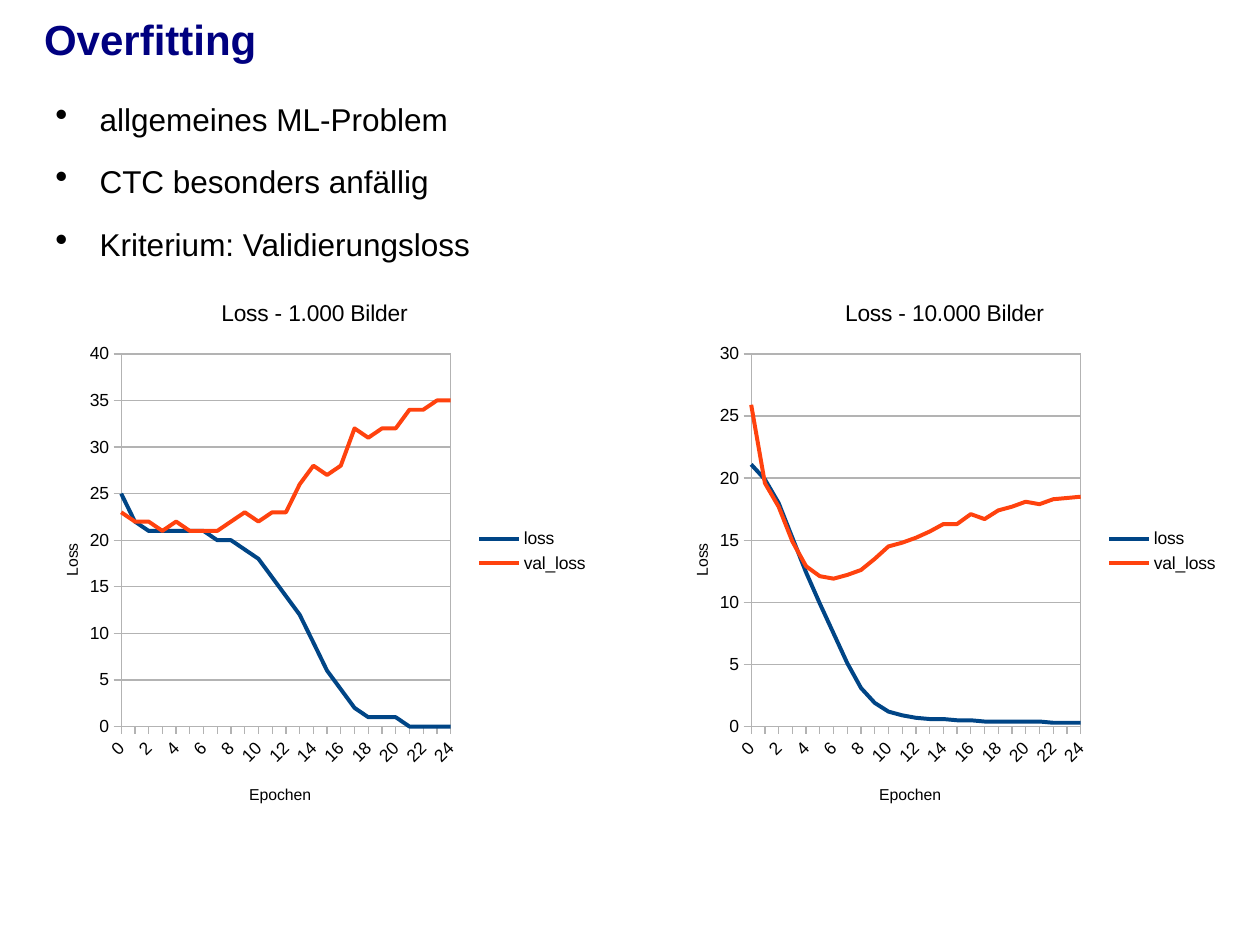
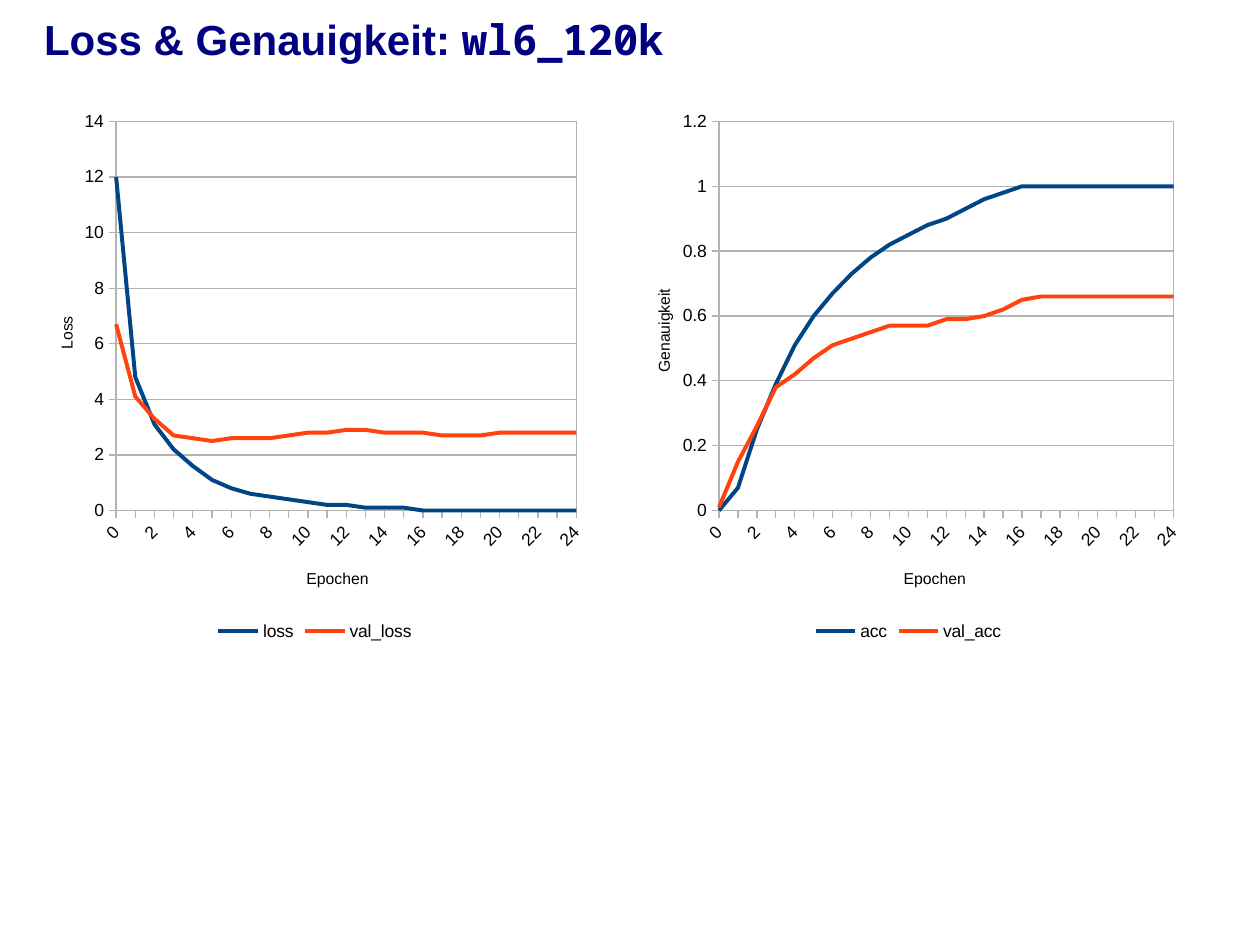
from dataclasses import dataclass

from lxml.etree import SubElement
from pptx import Presentation
from pptx.chart.data import CategoryChartData
from pptx.dml.color import RGBColor
from pptx.enum.chart import XL_CHART_TYPE, XL_LEGEND_POSITION, XL_TICK_MARK
from pptx.enum.text import MSO_ANCHOR, MSO_AUTO_SIZE, PP_ALIGN
from pptx.oxml import parse_xml
from pptx.oxml.ns import nsdecls, qn
from pptx.util import Pt


@dataclass(frozen=True)
class Theme:
    title: RGBColor = RGBColor(0x00, 0x00, 0x80)
    text: RGBColor = RGBColor(0x00, 0x00, 0x00)
    grid: RGBColor = RGBColor(0xB3, 0xB3, 0xB3)
    series: tuple = (RGBColor(0x00, 0x45, 0x86), RGBColor(0xFF, 0x42, 0x0E))
    font: str = "Arial"
    code_font: str = "Noto Sans Mono"
    title_size: int = 24
    body_size: int = 18
    chart_title_size: int = 13
    label_size: int = 10
    axis_title_size: int = 9
    line_width: float = 2.27


THEME = Theme()
EPOCHS = [str(epoch) for epoch in range(25)]
CHART_WIDTH, CHART_HEIGHT = 324.72, 313.2

# Places inside a chart, as fractions of its size: (x, y) or (x, y, width, height)
LEGEND_RIGHT = {
    "position": XL_LEGEND_POSITION.RIGHT,
    "legend": (0.78, 0.45),
    "plot": (0.16, 0.14, 0.58, 0.68),
    "category_title": (0.38, 0.92),
}
LEGEND_BOTTOM = {
    "position": XL_LEGEND_POSITION.BOTTOM,
    "legend": (0.33, 0.95),
    "plot": (0.16, 0.04, 0.81, 0.71),
    "category_title": (0.49, 0.85),
}

SLIDES = [
    {
        "title": [("Overfitting", THEME.font)],
        "bullets": ["allgemeines ML-Problem", "CTC besonders anfällig", "Kriterium: Validierungsloss"],
        "layout": LEGEND_RIGHT,
        "chart_top": 158.4,
        "charts": [
            {
                "left": 17.28, "title": "Loss - 1.000 Bilder",
                "value_title": "Loss", "value_title_at": (0.05, 0.48), "maximum": 40, "step": 5,
                "series": {
                    "loss": [25, 22, 21, 21, 21, 21, 21, 20, 20, 19, 18, 16, 14,
                             12, 9, 6, 4, 2, 1, 1, 1, 0, 0, 0, 0],
                    "val_loss": [23, 22, 22, 21, 22, 21, 21, 21, 22, 23, 22, 23, 23,
                                 26, 28, 27, 28, 32, 31, 32, 32, 34, 34, 35, 35],
                },
            },
            {
                "left": 377.28, "title": "Loss - 10.000 Bilder",
                "value_title": "Loss", "value_title_at": (0.05, 0.48), "maximum": 30, "step": 5,
                "series": {
                    "loss": [21.1, 19.9, 18, 15.2, 12.4, 9.9, 7.5, 5.1, 3.1, 1.9, 1.2, 0.9, 0.7,
                             0.6, 0.6, 0.5, 0.5, 0.4, 0.4, 0.4, 0.4, 0.4, 0.3, 0.3, 0.3],
                    "val_loss": [25.9, 19.6, 17.7, 14.9, 12.9, 12.1, 11.9, 12.2, 12.6, 13.5, 14.5, 14.8, 15.2,
                                 15.7, 16.3, 16.3, 17.1, 16.7, 17.4, 17.7, 18.1, 17.9, 18.3, 18.4, 18.5],
                },
            },
        ],
    },
    {
        "title": [("Loss & Genauigkeit: ", THEME.font), ("wl6_120k", THEME.code_font)],
        "bullets": [],
        "layout": LEGEND_BOTTOM,
        "chart_top": 56.88,
        "charts": [
            {
                "left": 14.4, "title": None,
                "value_title": "Loss", "value_title_at": (0.05, 0.39), "maximum": 14, "step": 2,
                "series": {
                    "loss": [12, 4.8, 3.1, 2.2, 1.6, 1.1, 0.8, 0.6, 0.5, 0.4, 0.3, 0.2, 0.2,
                             0.1, 0.1, 0.1, 0, 0, 0, 0, 0, 0, 0, 0, 0],
                    "val_loss": [6.7, 4.1, 3.3, 2.7, 2.6, 2.5, 2.6, 2.6, 2.6, 2.7, 2.8, 2.8, 2.9,
                                 2.9, 2.8, 2.8, 2.8, 2.7, 2.7, 2.7, 2.8, 2.8, 2.8, 2.8, 2.8],
                },
            },
            {
                "left": 355.68, "title": None, "plot": (0.17, 0.04, 0.8, 0.71),
                "value_title": "Genauigkeit", "value_title_at": (0.05, 0.34), "maximum": 1.2, "step": 0.2,
                "series": {
                    "acc": [0, 0.07, 0.25, 0.39, 0.51, 0.6, 0.67, 0.73, 0.78, 0.82, 0.85, 0.88, 0.9,
                            0.93, 0.96, 0.98, 1, 1, 1, 1, 1, 1, 1, 1, 1],
                    "val_acc": [0.01, 0.15, 0.26, 0.38, 0.42, 0.47, 0.51, 0.53, 0.55, 0.57, 0.57, 0.57, 0.59,
                                0.59, 0.6, 0.62, 0.65, 0.66, 0.66, 0.66, 0.66, 0.66, 0.66, 0.66, 0.66],
                },
            },
        ],
    },
]


def style_font(font, size, color=THEME.text, name=THEME.font, bold=False):
    font.size, font.name, font.bold = Pt(size), name, bold
    font.color.rgb = color


def clear_insets(frame):
    frame.word_wrap = True
    frame.auto_size = MSO_AUTO_SIZE.NONE
    frame.margin_left = frame.margin_top = frame.margin_right = frame.margin_bottom = 0


def add_title(slide, runs):
    title = slide.shapes.title
    title.left, title.top, title.width, title.height = Pt(25.2), Pt(5.76), Pt(671.76), Pt(33.12)
    frame = title.text_frame
    clear_insets(frame)
    frame.vertical_anchor = MSO_ANCHOR.MIDDLE
    paragraph = frame.paragraphs[0]
    paragraph.alignment = PP_ALIGN.LEFT
    for text, font_name in runs:
        run = paragraph.add_run()
        run.text = text
        style_font(run.font, THEME.title_size, THEME.title, font_name, bold=True)


def add_bullets(slide, lines):
    box = slide.shapes.add_textbox(Pt(14.4), Pt(56.88), Pt(CHART_WIDTH), Pt(CHART_HEIGHT))
    frame = box.text_frame
    clear_insets(frame)
    for index, line in enumerate(lines):
        paragraph = frame.add_paragraph() if index else frame.paragraphs[0]
        paragraph.space_after = Pt(14.2)
        run = paragraph.add_run()
        run.text = line
        style_font(run.font, THEME.body_size)
        properties = paragraph._p.get_or_add_pPr()
        properties.set("marL", str(Pt(42.5)))
        properties.set("indent", str(Pt(-25.2)))
        SubElement(properties, qn("a:buSzPct"), val="114000")
        SubElement(properties, qn("a:buChar"), char="•")


def place(element, position, after=None):
    """Fix a chart part at (x, y[, width, height]), given as fractions of the chart."""
    for old in element.findall(qn("c:layout")):
        element.remove(old)
    layout = parse_xml(f"<c:layout {nsdecls('c')}><c:manualLayout/></c:layout>")
    manual = layout[0]
    if len(position) == 4:
        SubElement(manual, qn("c:layoutTarget"), val="inner")
    for name in ("xMode", "yMode"):
        SubElement(manual, qn(f"c:{name}"), val="edge")
    for name, value in zip("xywh", position):
        SubElement(manual, qn(f"c:{name}"), val=str(value))
    if after is None:
        element.insert(0, layout)
    else:
        element.find(qn(after)).addnext(layout)


def write_chart_text(title, text, size):
    run = title.text_frame.paragraphs[0].add_run()
    run.text = text
    style_font(run.font, size)


def style_line(line):
    line.color.rgb = THEME.grid
    line.width = Pt(0)


def style_axis(axis, title, position):
    axis.major_tick_mark = XL_TICK_MARK.OUTSIDE
    axis.minor_tick_mark = XL_TICK_MARK.NONE
    style_font(axis.tick_labels.font, THEME.label_size)
    style_line(axis.format.line)
    write_chart_text(axis.axis_title, title, THEME.axis_title_size)
    place(axis.axis_title._element, position, after="c:tx")


def start_lines_on_axis(value_axis):
    element = value_axis._element
    for old in element.findall(qn("c:crossBetween")):
        element.remove(old)
    element.find(qn("c:crosses")).addnext(
        parse_xml(f'<c:crossBetween {nsdecls("c")} val="midCat"/>'))


def add_frame_line(plot_area):
    plot_area.append(parse_xml(
        f'<c:spPr {nsdecls("c", "a")}><a:noFill/><a:ln w="0"><a:solidFill>'
        f'<a:srgbClr val="{THEME.grid}"/></a:solidFill></a:ln></c:spPr>'))


def add_line_chart(slide, content, top, layout):
    data = CategoryChartData()
    data.categories = EPOCHS
    for name, values in content["series"].items():
        data.add_series(name, values)
    chart = slide.shapes.add_chart(
        XL_CHART_TYPE.LINE, Pt(content["left"]), Pt(top), Pt(CHART_WIDTH), Pt(CHART_HEIGHT), data).chart
    style_font(chart.font, THEME.label_size)

    chart.has_title = content["title"] is not None
    if chart.has_title:
        write_chart_text(chart.chart_title, content["title"], THEME.chart_title_size)

    chart.has_legend = True
    chart.legend.position = layout["position"]
    chart.legend.include_in_layout = False
    style_font(chart.legend.font, THEME.label_size)
    place(chart.legend._element, layout["legend"], after="c:legendPos")

    style_axis(chart.category_axis, "Epochen", layout["category_title"])
    labels = chart.category_axis._element.find(qn("c:txPr"))
    labels.find(qn("a:bodyPr")).set("rot", str(-45 * 60000))

    value_axis = chart.value_axis
    style_axis(value_axis, content["value_title"], content["value_title_at"])
    value_axis.axis_title.text_frame._txBody.bodyPr.set("rot", str(-90 * 60000))
    value_axis.minimum_scale, value_axis.maximum_scale = 0, content["maximum"]
    value_axis.major_unit = content["step"]
    value_axis.has_major_gridlines = True
    style_line(value_axis.major_gridlines.format.line)
    start_lines_on_axis(value_axis)

    plot = chart.plots[0]
    plot.vary_by_categories = False
    for series, color in zip(plot.series, THEME.series):
        series.smooth = False
        series.format.line.color.rgb = color
        series.format.line.width = Pt(THEME.line_width)

    plot_area = chart._chartSpace.chart.plotArea
    place(plot_area, content.get("plot", layout["plot"]))
    add_frame_line(plot_area)


def main():
    presentation = Presentation()
    presentation.slide_width, presentation.slide_height = Pt(720), Pt(540)
    for content in SLIDES:
        slide = presentation.slides.add_slide(presentation.slide_layouts[5])
        add_title(slide, content["title"])
        if content["bullets"]:
            add_bullets(slide, content["bullets"])
        for chart_content in content["charts"]:
            add_line_chart(slide, chart_content, content["chart_top"], content["layout"])
    presentation.save("out.pptx")


if __name__ == "__main__":
    main()
